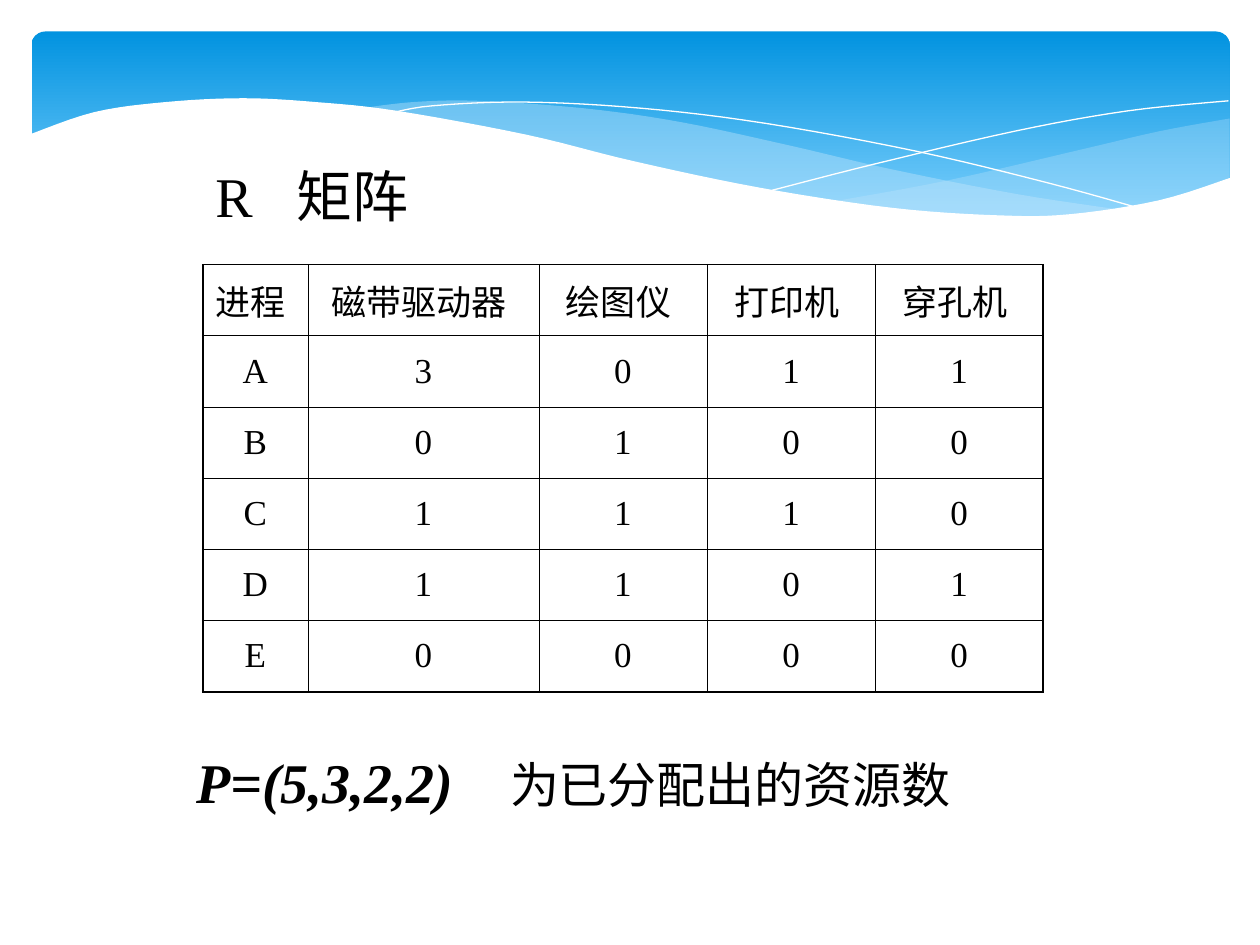
from lxml.etree import SubElement
from pptx import Presentation
from pptx.dml.color import RGBColor
from pptx.enum.shapes import MSO_SHAPE as Shape
from pptx.enum.text import MSO_ANCHOR as Anchor, MSO_AUTO_SIZE as AutoSize, PP_ALIGN as Align
from pptx.oxml.ns import qn
from pptx.util import Inches, Pt

BLACK, WHITE, PALE_BLUE = "000000", "FFFFFF", "C6E7FC"
THIN, THICK = 0.45, 1.08

# Curve points in inches from the corner of the header band
RIGHT_WAVE_TOP = [(9.51, 0.69), (8.96, 0.79), (8.36, 0.93), (7.28, 1.18), (6.36, 1.35)]
RIGHT_WAVE_BOTTOM = [(6.36, 1.35), (7.07, 1.43), (7.78, 1.47), (8.47, 1.44), (9.03, 1.33),
                     (9.51, 1.16)]
MIDDLE_WAVE_TOP = [(8.68, 1.42), (7.82, 1.29), (6.81, 1.09), (6.04, 0.91), (5.16, 0.72),
                   (4.39, 0.61), (3.55, 0.55), (3.03, 0.56), (2.61, 0.61)]
MIDDLE_WAVE_BOTTOM = [(2.61, 0.61), (3.37, 0.72), (4.24, 0.91), (5.41, 1.18), (6.4, 1.36),
                      (7.23, 1.45), (7.93, 1.48), (8.68, 1.42)]
FALLING_LINE = [(2.84, 0.65), (3.18, 0.59), (3.91, 0.56), (4.85, 0.61), (5.83, 0.73),
                (7.02, 0.95), (8.06, 1.2), (8.82, 1.41)]
RISING_LINE = [(5.88, 1.26), (6.7, 1.05), (7.81, 0.79), (8.7, 0.63), (9.5, 0.55)]
WHITE_EDGE = [(9.52, 1.16), (8.95, 1.34), (8.25, 1.45), (7.68, 1.46), (6.83, 1.4),
              (5.78, 1.24), (4.78, 1.03), (3.93, 0.82), (2.9, 0.63), (2.25, 0.56),
              (1.68, 0.53), (1.07, 0.56), (0.5, 0.64), (-0.02, 0.82)]
WHITE_BASE = [(-0.02, 1.99), (9.52, 1.99)]

ALLOCATION = [
    ["进程", "磁带驱动器", "绘图仪", "打印机", "穿孔机"],
    ["A", 3, 0, 1, 1],
    ["B", 0, 1, 0, 0],
    ["C", 1, 1, 1, 0],
    ["D", 1, 1, 0, 1],
    ["E", 0, 0, 0, 0],
]


def rgb(color):
    return RGBColor.from_string(color)


def set_attributes(target, values):
    for name, value in values.items():
        setattr(target, name, value)


def smooth(points, steps=6):
    """Return points along a Catmull-Rom spline through the given points."""
    padded = [points[0], *points, points[-1]]
    curve = [points[0]]
    for a, b, c, d in zip(padded, padded[1:], padded[2:], padded[3:]):
        for step in range(1, steps + 1):
            t = step / steps
            curve.append(tuple(
                (2 * q + (r - p) * t + (2 * p - 5 * q + 4 * r - s) * t ** 2
                 + (3 * q - p - 3 * r + s) * t ** 3) / 2
                for p, q, r, s in zip(a, b, c, d)))
    return curve


def add_outline(slide, left, top, points, fill=None, opacity=100):
    """Draw a filled wave, or an open white hairline when there is no fill."""
    start, *others = [(left + Inches(x), top + Inches(y)) for x, y in points]
    builder = slide.shapes.build_freeform(*start)
    builder.add_line_segments(others, close=fill is not None)
    outline = builder.convert_to_shape()
    outline.shadow.inherit = False
    if fill is None:
        outline.fill.background()
        outline.line.color.rgb = rgb(WHITE)
        outline.line.width = Pt(0)
        return
    outline.fill.solid()
    outline.fill.fore_color.rgb = rgb(fill)
    outline.line.fill.background()
    if opacity < 100:
        color = outline.element.spPr.find(".//" + qn("a:srgbClr"))
        SubElement(color, qn("a:alpha"), val=str(opacity * 1000))


def add_header(slide, left, top, width, height):
    band = slide.shapes.add_shape(Shape.ROUNDED_RECTANGLE, left, top, width, height)
    band.adjustments[0] = 0.07
    band.shadow.inherit = False
    band.line.fill.background()
    band.fill.gradient()
    band.fill.gradient_angle = 270
    for stop, color in zip(band.fill.gradient_stops, ("0293E0", "83D3FE")):
        stop.color.rgb = rgb(color)

    right_wave = smooth(RIGHT_WAVE_TOP) + smooth(RIGHT_WAVE_BOTTOM)
    middle_wave = smooth(MIDDLE_WAVE_TOP) + smooth(MIDDLE_WAVE_BOTTOM)
    add_outline(slide, left, top, right_wave, PALE_BLUE, 29)
    add_outline(slide, left, top, middle_wave, PALE_BLUE, 40)
    for line in (FALLING_LINE, RISING_LINE):
        add_outline(slide, left, top, smooth(line))
    add_outline(slide, left, top, smooth(WHITE_EDGE) + WHITE_BASE, WHITE)


def add_run(paragraph, text, size, **style):
    run = paragraph.add_run()
    run.text = text
    set_attributes(run.font, {"name": "Times New Roman", "size": Pt(size), **style})
    run.font.color.rgb = rgb(BLACK)


def add_tab_stop(paragraph, position):
    tabs = SubElement(paragraph._p.get_or_add_pPr(), qn("a:tabLst"))
    SubElement(tabs, qn("a:tab"), pos=str(position), algn="l")


def start_line(frame, tab_position):
    """Prepare a text frame for one left-aligned line with a tab stop."""
    set_attributes(frame, {"word_wrap": True, "auto_size": AutoSize.NONE,
                           "vertical_anchor": Anchor.TOP})
    paragraph = frame.paragraphs[0]
    paragraph.alignment = Align.LEFT
    add_tab_stop(paragraph, tab_position)
    return paragraph


def place_title(slide, left, top, width, height):
    title = slide.shapes.title
    slide.shapes.element.append(title.element)  # in front of the white wave
    set_attributes(title, {"left": left, "top": top, "width": width, "height": height})
    add_run(start_line(title.text_frame, Inches(0.64)), "R\t矩阵", 32)


def add_allocated_total(slide, left, top, width, height):
    total = slide.shapes.add_textbox(left, top, width, height)
    paragraph = start_line(total.text_frame, Inches(2.49))
    add_run(paragraph, "P=(5,3,2,2)\t", 32, bold=True, italic=True)
    add_run(paragraph, "为已分配出的资源数", 28)


def set_borders(cell, widths):
    properties = cell._tc.get_or_add_tcPr()
    for side, width in widths.items():
        line = SubElement(properties, qn(f"a:ln{side}"), w=str(Pt(width)))
        SubElement(SubElement(line, qn("a:solidFill")), qn("a:srgbClr"), val=BLACK)


def add_allocation_table(slide, left, top, width, height):
    last_row, last_column = len(ALLOCATION) - 1, len(ALLOCATION[0]) - 1
    table = slide.shapes.add_table(last_row + 1, last_column + 1,
                                   left, top, width, height).table
    set_attributes(table, {"first_row": False, "horz_banding": False})
    shares = (5, 11, 8, 8, 8)
    for column, share in zip(table.columns, shares):
        column.width = int(width * share / sum(shares))
    for r, values in enumerate(ALLOCATION):
        for c, value in enumerate(values):
            cell = table.cell(r, c)
            set_borders(cell, {
                "L": THICK if c == 0 else THIN,
                "R": THICK if c == last_column else THIN,
                "T": THICK if r == 0 and c > 0 else THIN,
                "B": THICK if r == last_row else THIN,
            })
            cell.fill.background()
            cell.vertical_anchor = Anchor.MIDDLE
            if r == 0:
                cell.margin_left = Inches(0.03)
            paragraph = cell.text_frame.paragraphs[0]
            paragraph.alignment = Align.CENTER
            add_run(paragraph, str(value), 20)


def main():
    deck = Presentation()
    set_attributes(deck, {"slide_width": Inches(10), "slide_height": Inches(7.5)})
    slide = deck.slides.add_slide(deck.slide_layouts[5])
    add_header(slide, Inches(0.25), Inches(0.25), Inches(9.51), Inches(1.56))
    add_allocation_table(slide, Inches(1.61), Inches(2.1), Inches(6.67), Inches(3.39))
    add_allocated_total(slide, Inches(1.46), Inches(5.88), Inches(6.77), Inches(0.64))
    place_title(slide, Inches(1.61), Inches(1.23), Inches(4.57), Inches(0.64))
    deck.save("out.pptx")


if __name__ == "__main__":
    main()
